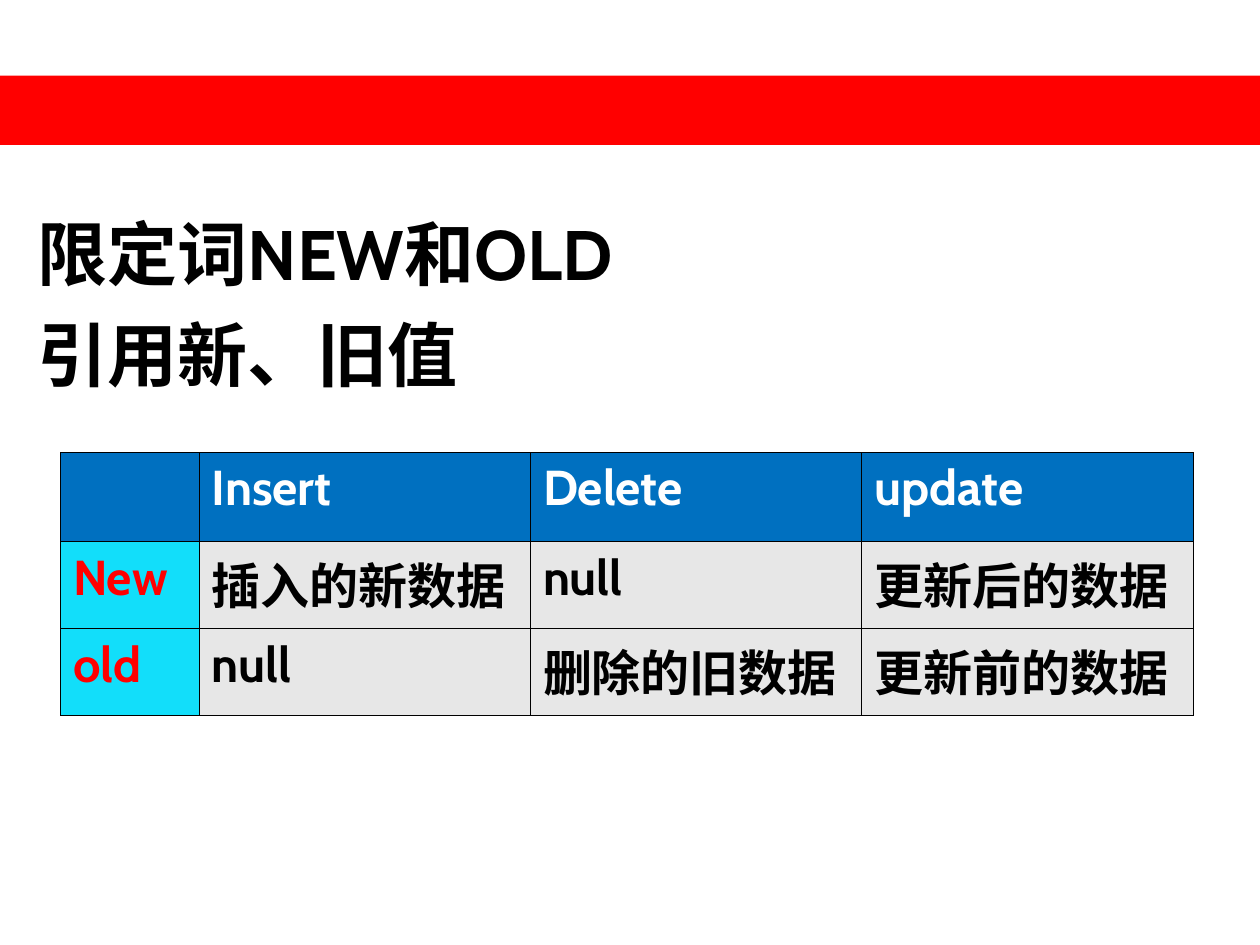
from dataclasses import dataclass

from lxml.etree import SubElement
from pptx import Presentation
from pptx.dml.color import RGBColor as Color
from pptx.enum.shapes import MSO_SHAPE as Shape
from pptx.oxml.ns import qn
from pptx.util import Inches, Pt


@dataclass(frozen=True)
class Theme:
    """Colours, font and type sizes of the slide."""
    font: str = "Cabin"
    banner: str = "FF0000"
    ink: str = "000000"
    header: str = "0070C0"
    header_ink: str = "FFFFFF"
    label: str = "12DEFA"
    label_ink: str = "FF0000"
    cell: str = "E7E7E7"
    body_size: float = 40
    table_size: float = 28
    body_gap: float = 10
    border: float = 0.45


class Slide:
    """Builds the elements of one slide in one style."""

    def __init__(self, deck, theme):
        """Add a title and content page without its title."""
        self.theme = theme
        self.page = deck.slides.add_slide(deck.slide_layouts[1])
        title = self.page.shapes.title
        title.element.getparent().remove(title.element)

    def style(self, para, size, color):
        """Format every run of a paragraph."""
        for span in para.runs:
            span.font.name = self.theme.font
            span.font.size = Pt(size)
            span.font.bold = True
            span.font.color.rgb = Color.from_string(color)

    def banner(self, top, height):
        """Draw a band across the full slide width."""
        box = self.page.shapes.add_shape(
            Shape.RECTANGLE, 0, Inches(top), Inches(10), Inches(height))
        box.shadow.inherit = False
        box.fill.solid()
        box.fill.fore_color.rgb = Color.from_string(self.theme.banner)
        box.line.fill.background()

    def body(self, left, top, width, height, lines):
        """Fill the body placeholder with unbulleted lines."""
        box = self.page.placeholders[1]
        box.left, box.top = Inches(left), Inches(top)
        box.width, box.height = Inches(width), Inches(height)
        box.text_frame.text = "\n".join(lines)
        for para in box.text_frame.paragraphs:
            para.space_before = Pt(self.theme.body_gap)
            props = para._p.get_or_add_pPr()
            props.set("marL", "0")
            props.set("indent", "0")
            SubElement(props, qn("a:buNone"))
            self.style(para, self.theme.body_size, self.theme.ink)
            for span in para.runs:
                SubElement(span.font._element, qn("a:ea"), typeface=self.theme.font)

    def cell_colors(self, row, column):
        """Return the fill and text colour for a table position."""
        if row == 0:
            return self.theme.header, self.theme.header_ink
        if column == 0:
            return self.theme.label, self.theme.label_ink
        return self.theme.cell, self.theme.ink

    def borders(self, cell):
        """Outline the four sides of a cell."""
        props = cell._tc.get_or_add_tcPr()
        for index, side in enumerate(("lnL", "lnR", "lnT", "lnB")):
            line = props.makeelement(qn(f"a:{side}"), w=str(Pt(self.theme.border)))
            fill = SubElement(line, qn("a:solidFill"))
            SubElement(fill, qn("a:srgbClr"), val=self.theme.ink)
            props.insert(index, line)

    def table(self, left, top, widths, heights, rows):
        """Add a bordered table with a header row and label column."""
        frame = self.page.shapes.add_table(
            len(heights), len(widths), Inches(left), Inches(top),
            Inches(sum(widths)), Inches(sum(heights)))
        for column, width in zip(frame.table.columns, widths):
            column.width = Inches(width)
        for row, height in zip(frame.table.rows, heights):
            row.height = Inches(height)
        for r, row in enumerate(rows):
            for c, text in enumerate(row):
                cell = frame.table.cell(r, c)
                fill, ink = self.cell_colors(r, c)
                cell.text = text
                cell.fill.solid()
                cell.fill.fore_color.rgb = Color.from_string(fill)
                self.style(cell.text_frame.paragraphs[0], self.theme.table_size, ink)
                self.borders(cell)


def main():
    """Build and save the deck."""
    deck = Presentation()
    deck.slide_width, deck.slide_height = Inches(10), Inches(7.5)
    slide = Slide(deck, Theme())
    slide.banner(0.6, 0.55)
    slide.body(0.2, 1.62, 9.77, 5.59, ["限定词NEW和OLD", "引用新、旧值"])
    slide.table(0.48, 3.59, [1.1] + [2.63] * 3, [0.71, 0.69, 0.69], [
        ["", "Insert", "Delete", "update"],
        ["New", "插入的新数据", "null", "更新后的数据"],
        ["old", "null", "删除的旧数据", "更新前的数据"],
    ])
    deck.save("out.pptx")


if __name__ == "__main__":
    main()
